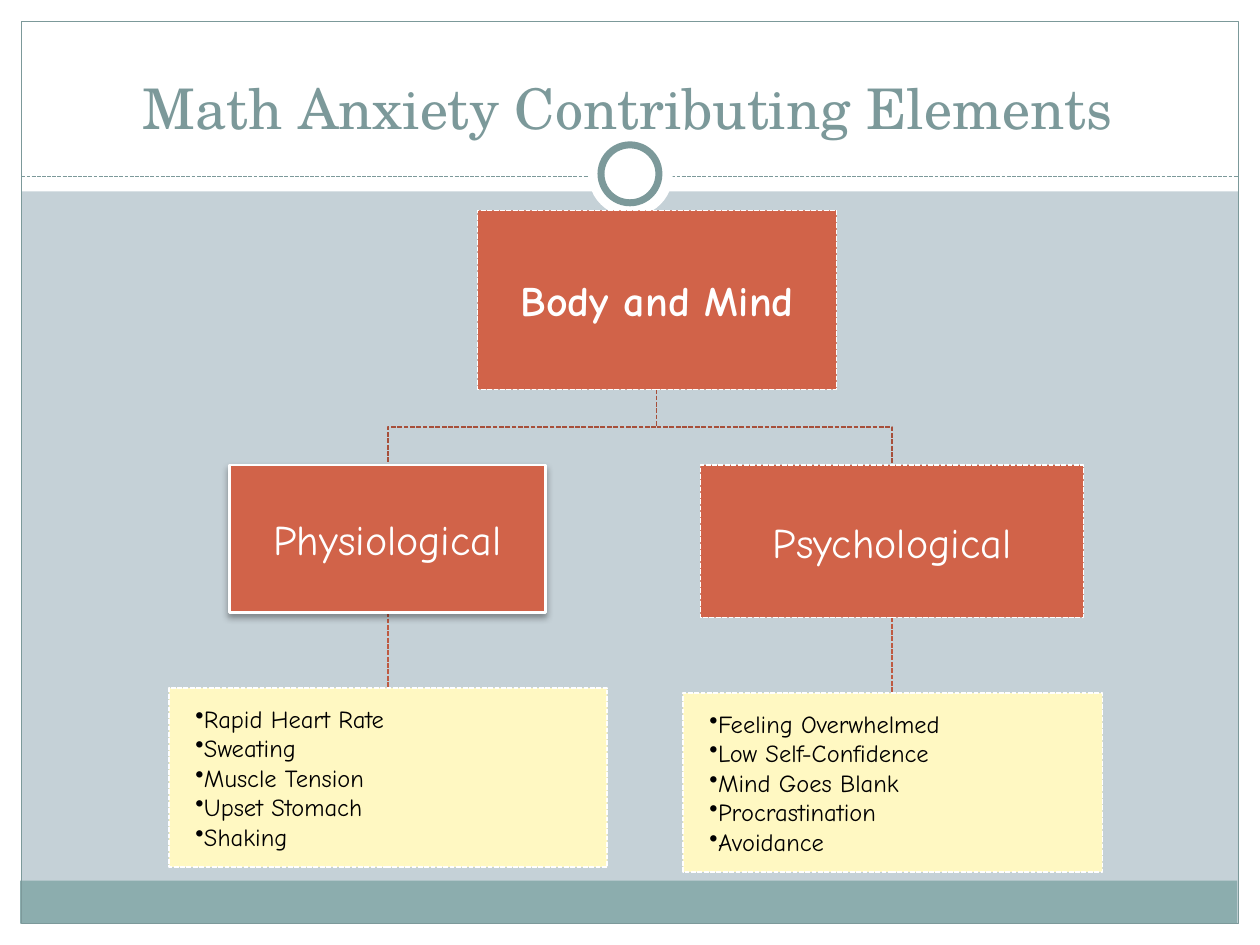
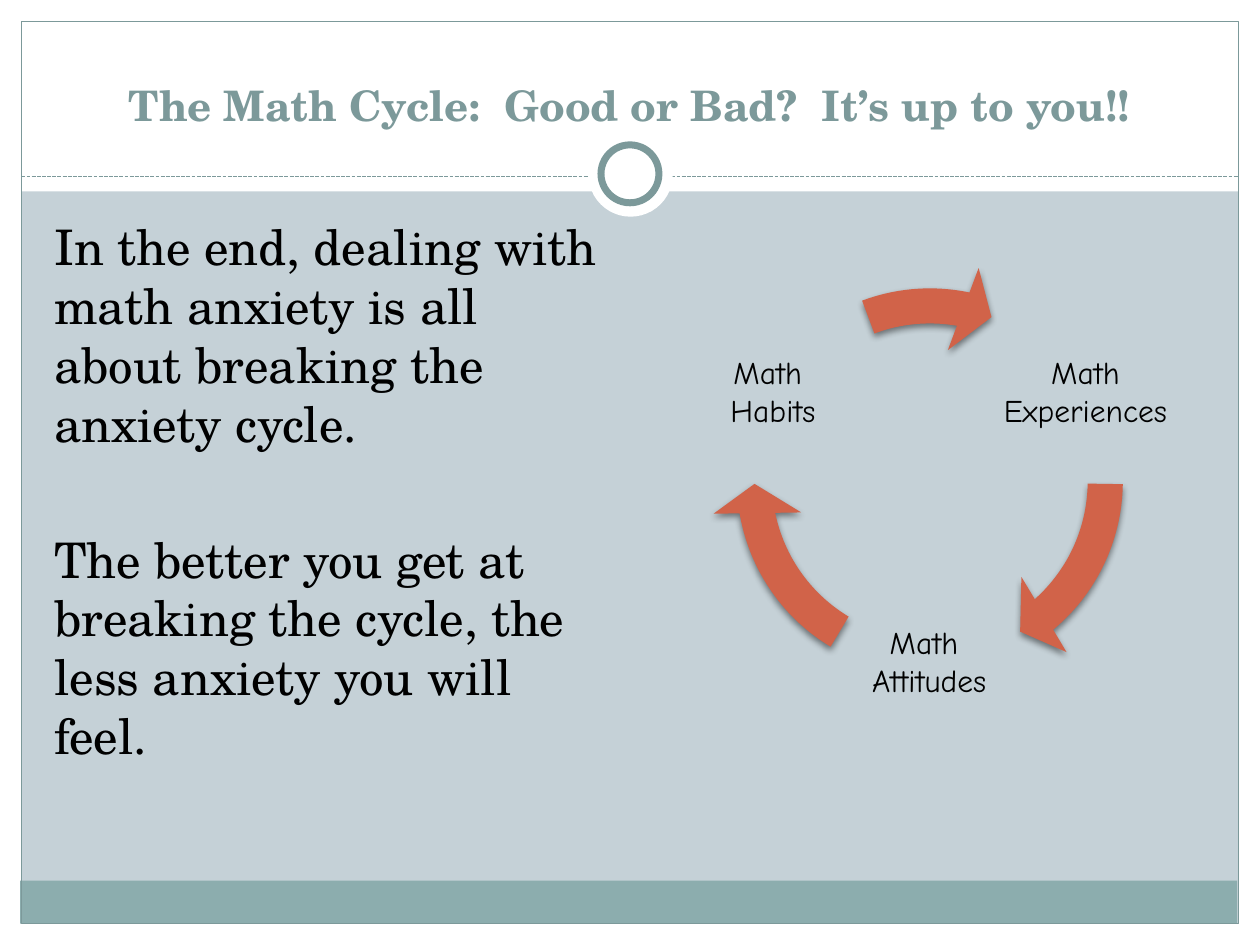
from lxml import etree
from pptx import Presentation
from pptx import util as u
from pptx.dml.color import RGBColor
from pptx.enum import dml, shapes, text
from pptx.oxml import ns

COLORS = {
    "back": "C5D1D7",
    "white": "FFFFFF",
    "black": "000000",
    "footer": "8CADAE",
    "accent": "7C999A",
    "box": "D16349",
    "list": "FFF8C2",
    "branch": "A74F3A",
    "stem": "BE5A42",
}
SERIF = "TeX Gyre Schola"
HAND = "Comic Neue"
FORM = shapes.MSO_SHAPE


def color(name):
    return RGBColor.from_string(COLORS[name])


def write_text(frame, lines, size, font=HAND, ink="black", bold=False, align="LEFT",
               anchor="MIDDLE", inset=None, indent=0, bullet=None, gap=0):
    frame.word_wrap = True
    frame.auto_size = text.MSO_AUTO_SIZE.NONE
    frame.vertical_anchor = getattr(text.MSO_ANCHOR, anchor)
    if inset is not None:
        for side in ("left", "top", "right", "bottom"):
            setattr(frame, f"margin_{side}", u.Inches(inset))
    for number, line in enumerate(lines):
        para = frame.add_paragraph() if number else frame.paragraphs[0]
        para.alignment = getattr(text.PP_ALIGN, align)
        para.space_before = u.Pt(gap if number else 0)
        properties = para._p.get_or_add_pPr()
        properties.set("marL", str(u.Inches(indent)))
        properties.set("indent", "0")
        if bullet:
            etree.SubElement(properties, ns.qn("a:buChar"), char=bullet)
        else:
            etree.SubElement(properties, ns.qn("a:buNone"))
        span = para.add_run()
        span.text = line
        span.font.name = font
        span.font.size = u.Pt(size)
        span.font.bold = bold
        span.font.color.rgb = color(ink)


class Builder:
    def __init__(self):
        self.deck = Presentation()
        self.deck.slide_width = u.Inches(10)
        self.deck.slide_height = u.Inches(7.5)
        self.page = None

    def start_page(self, layout):
        self.page = self.deck.slides.add_slide(self.deck.slide_layouts[layout])
        fill = self.page.background.fill
        fill.solid()
        fill.fore_color.rgb = color("back")
        for area in ((0, 7.33, 10, 0.17), (0, 0, 10, 1.52),
                     (0, 0, 0.17, 7.5), (9.83, 0, 0.17, 7.5)):
            self.shape(area, "white")
        self.shape((0.16, 6.99, 9.66, 0.34), "footer")
        self.shape((0.17, 0.17, 9.66, 7.16), line="accent", width=0.75)
        self.straight((0.17, 1.4), (9.83, 1.4), "accent", 0.75)
        self.shape((4.67, 1.05, 0.67, 0.67), "white", form=FORM.OVAL)
        self.shape((4.77, 1.15, 0.46, 0.46), "white", "accent", 4, form=FORM.OVAL)

    def stroke(self, line, name, width, dashed):
        if name is None:
            line.fill.background()
            return
        line.color.rgb = color(name)
        line.width = u.Pt(width)
        if dashed:
            line.dash_style = dml.MSO_LINE.SQUARE_DOT

    def shape(self, area, fill=None, line=None, width=0.9, dashed=False,
              form=FORM.RECTANGLE, shadow=0):
        shape = self.page.shapes.add_shape(form, *map(u.Inches, area))
        if fill:
            shape.fill.solid()
            shape.fill.fore_color.rgb = color(fill)
        else:
            shape.fill.background()
        self.stroke(shape.line, line, width, dashed)
        shape.shadow.inherit = False
        if shadow:
            self.drop_shadow(shape, shadow)
        return shape

    def drop_shadow(self, shape, opacity):
        effects = shape._element.spPr.find(ns.qn("a:effectLst"))
        outer = etree.SubElement(effects, ns.qn("a:outerShdw"), blurRad=str(u.Pt(4)),
                                 dist=str(u.Pt(2)), dir="5400000", rotWithShape="0")
        tint = etree.SubElement(outer, ns.qn("a:srgbClr"), val=COLORS["black"])
        etree.SubElement(tint, ns.qn("a:alpha"), val=str(opacity * 1000))

    def straight(self, start, end, name, width=0.9):
        line = self.page.shapes.add_connector(
            shapes.MSO_CONNECTOR.STRAIGHT, *map(u.Inches, start + end))
        self.stroke(line.line, name, width, True)
        etree.SubElement(line._element.spPr, ns.qn("a:effectLst"))

    def branch(self, start, end):
        middle = (start[1] + end[1]) / 2
        points = [start, (start[0], middle), (end[0], middle), end]
        points = [tuple(map(u.Inches, point)) for point in points]
        outline = self.page.shapes.build_freeform(*points[0])
        outline.add_line_segments(points[1:], close=False)
        shape = outline.convert_to_shape()
        shape.fill.background()
        self.stroke(shape.line, "branch", 0.9, True)
        shape.shadow.inherit = False

    def placeholder(self, index, area, lines, **style):
        holder = self.page.placeholders[index]
        holder.left, holder.top, holder.width, holder.height = map(u.Inches, area)
        write_text(holder.text_frame, lines, font=SERIF, **style)
        self.page.shapes._spTree.append(holder._element)

    def title(self, area, words, **style):
        self.placeholder(0, area, [words], ink="accent", align="CENTER",
                         anchor="BOTTOM", **style)

    def node(self, area, words, bold=False, line_width=0.9, dashed=True, shadow=0):
        box = self.shape(area, "box", "white", line_width, dashed, shadow=shadow)
        write_text(box.text_frame, [words], size=24, ink="white", bold=bold,
                   align="CENTER", inset=0.02)

    def bullets(self, area, lines):
        box = self.shape(area, "list", "white", dashed=True)
        write_text(box.text_frame, lines, size=14, inset=0.01, indent=0.2, bullet="•")

    def label(self, left, top, lines):
        box = self.page.shapes.add_textbox(*map(u.Inches, (left, top, 1.47, 1.47)))
        write_text(box.text_frame, lines, size=18, align="CENTER", inset=0.03)

    def cycle_arrow(self, head, tail):
        arrow = self.shape((5.64, 2.08, 3.48, 3.48), "box",
                           form=FORM.CIRCULAR_ARROW, shadow=45)
        for index, value in enumerate((0.08, 5.76, head, tail, 0.1)):
            arrow.adjustments[index] = value


def add_elements_page(build):
    build.start_page(5)
    build.title((0.33, 0.25, 9.25, 0.92), "Math Anxiety Contributing Elements",
                size=32, indent=0.06)
    body_and_mind = (5.21, 3.09)
    for center, bottom in ((7.08, 4.9), (3.08, 4.86)):
        build.straight((center, bottom), (center, bottom + 0.6), "stem")
        build.branch(body_and_mind, (center, 3.69))
    build.node((3.79, 1.67, 2.85, 1.42), "Body and Mind", bold=True)
    build.node((1.82, 3.69, 2.51, 1.17), "Physiological", line_width=1.57,
               dashed=False, shadow=35)
    build.bullets((1.34, 5.46, 3.48, 1.42), [
        "Rapid Heart Rate", "Sweating", "Muscle Tension", "Upset Stomach", "Shaking"])
    build.node((5.56, 3.69, 3.04, 1.21), "Psychological")
    build.bullets((5.42, 5.5, 3.33, 1.42), [
        "Feeling Overwhelmed", "Low Self-Confidence", "Mind Goes Blank",
        "Procrastination", "Avoidance"])


def add_cycle_page(build):
    build.start_page(1)
    build.title((0.33, 0.25, 9.33, 0.83),
                "The Math Cycle:  Good or Bad?  It’s up to you!!", size=24, bold=True)
    build.placeholder(1, (0.33, 1.67, 4.67, 5), [
        "In the end, dealing with math anxiety is all about breaking the anxiety cycle.",
        "The better you get at breaking the cycle, the less anxiety you will feel.",
    ], size=28, anchor="TOP", gap=44)
    steps = (
        (7.88, 2.37, ["Math", "Experiences"], 29.65, 0.51),
        (6.64, 4.51, ["Math ", "Attitudes"], 101.73, 72.59),
        (5.4, 2.37, ["Math ", "Habits"], 168.58, 149.66),
    )
    for left, top, lines, head, tail in steps:
        build.label(left, top, lines)
        build.cycle_arrow(head, tail)


def main():
    build = Builder()
    add_elements_page(build)
    add_cycle_page(build)
    build.deck.save("out.pptx")


if __name__ == "__main__":
    main()
